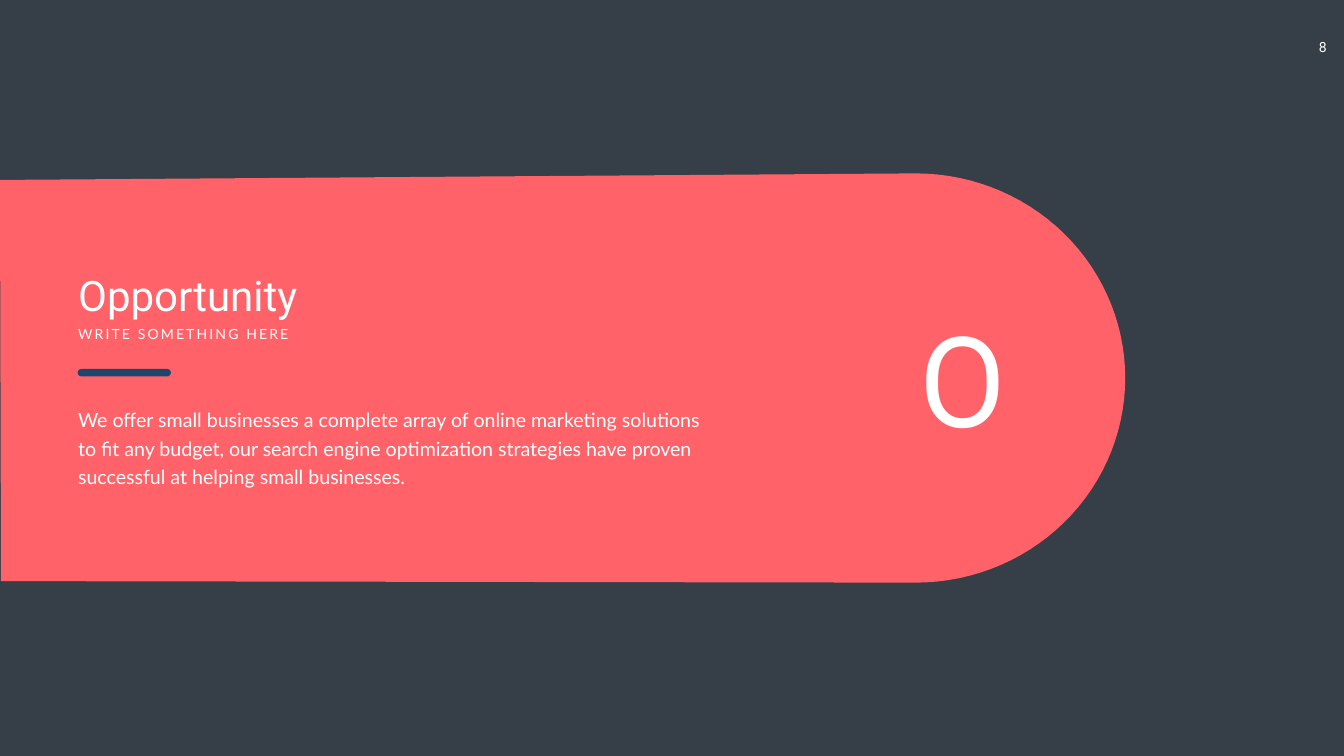
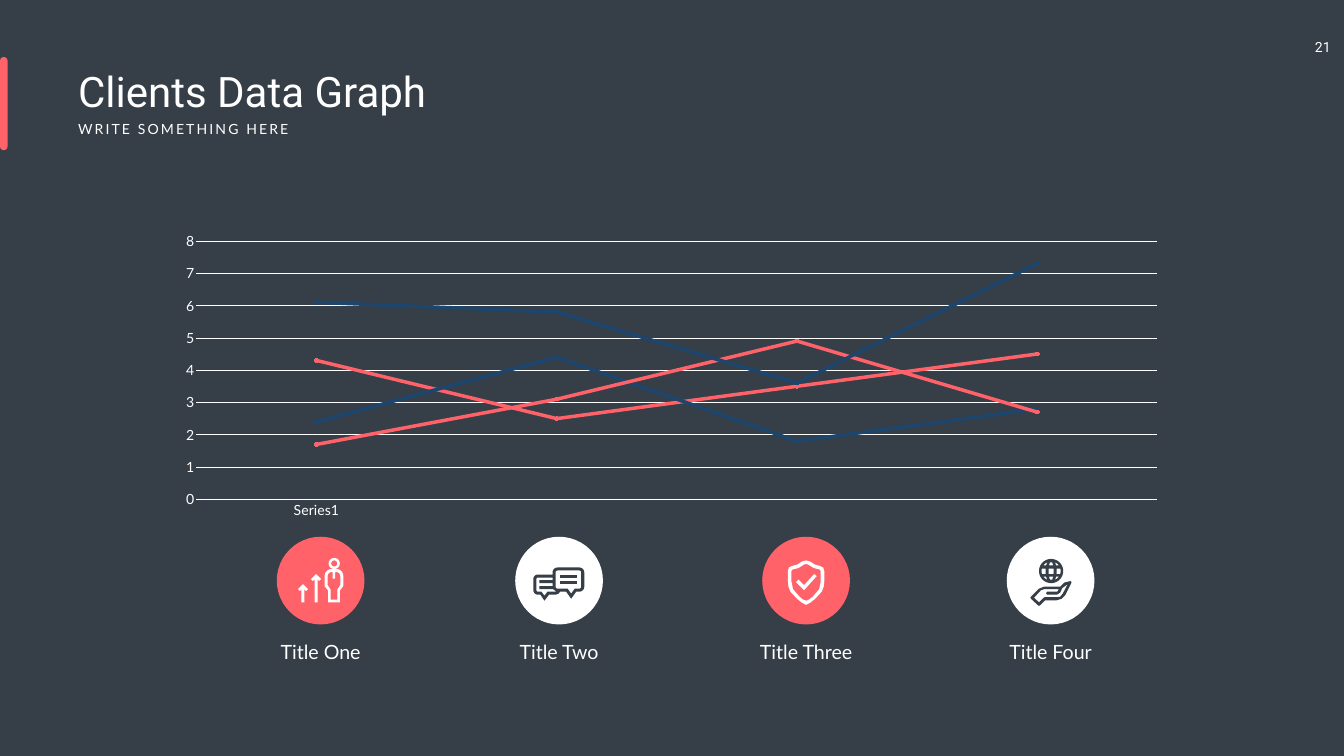
import math

import pptx
import pptx.chart.data
import pptx.dml.color
import pptx.enum.chart
import pptx.enum.shapes
import pptx.enum.text
import pptx.util

Inches = pptx.util.Inches
Pt = pptx.util.Pt
ALIGN = pptx.enum.text.PP_ALIGN
SHAPE = pptx.enum.shapes.MSO_SHAPE

COLORS = {"slate": "363E48", "coral": "FF6269", "navy": "1C466E", "white": "FFFFFF"}
HEADING_FONT = "Roboto"
BODY_FONT = "Lato"
SUBTITLE = "WRITE SOMETHING HERE"
DISC = 1.74


def rgb(name):
    """Return the named colour."""
    return pptx.dml.color.RGBColor.from_string(COLORS[name])


def paint(shape, color):
    """Give a shape a flat fill with no line or shadow."""
    shape.shadow.inherit = False
    shape.fill.solid()
    shape.fill.fore_color.rgb = rgb(color)
    shape.line.fill.background()


def write(slide, text, box, size, font=BODY_FONT, align=ALIGN.LEFT, holder=None,
          spacing=None, tracking=None, wrap=True, insets=(0.1, 0.05, 0.1, 0.05)):
    """Put formatted white text in a new text box or a given placeholder."""
    left, top, width, height = map(Inches, box)
    if holder is None:
        holder = slide.shapes.add_textbox(left, top, width, height)
    else:
        holder.left, holder.top, holder.width, holder.height = left, top, width, height
    frame = holder.text_frame
    frame.word_wrap = wrap
    frame.auto_size = pptx.enum.text.MSO_AUTO_SIZE.SHAPE_TO_FIT_TEXT
    frame.vertical_anchor = pptx.enum.text.MSO_ANCHOR.TOP
    (frame.margin_left, frame.margin_top,
     frame.margin_right, frame.margin_bottom) = map(Inches, insets)
    paragraph = frame.paragraphs[0]
    paragraph.alignment = align
    if spacing:
        paragraph.line_spacing = Pt(spacing)
    run = paragraph.add_run()
    run.text = text
    run.font.size = Pt(size)
    run.font.name = font
    run.font.color.rgb = rgb("white")
    if tracking:
        run._r.get_or_add_rPr().set("spc", str(tracking * 100))


def preset(slide, kind, box, color):
    """Add a filled preset shape."""
    shape = slide.shapes.add_shape(kind, *map(Inches, box))
    paint(shape, color)
    return shape


def pill(slide, box, color, rotation=0):
    """Add a bar with fully rounded ends."""
    bar = preset(slide, SHAPE.ROUNDED_RECTANGLE, box, color)
    bar.adjustments[0] = 0.5
    bar.rotation = rotation


def outline(slide, left, top, contours, color):
    """Fill closed contours, where inner ones cut holes."""
    placed = [[(Inches(left + x), Inches(top + y)) for x, y in contour]
              for contour in contours]
    builder = slide.shapes.build_freeform(*placed[0][0], scale=1.0)
    builder.add_line_segments(placed[0][1:], close=True)
    for contour in placed[1:]:
        builder.move_to(*contour[0])
        builder.add_line_segments(contour[1:], close=True)
    paint(builder.convert_to_shape(), color)


def arc(x, y, radius, start, end, radius_y=None, steps=8):
    """Return points along an arc, in degrees clockwise from the right."""
    angles = [math.radians(start + (end - start) * i / steps) for i in range(steps + 1)]
    return [(x + radius * math.cos(a), y + (radius_y or radius) * math.sin(a))
            for a in angles]


def ring(x, y, outer, inner):
    """Return the two contours of a ring."""
    return [arc(x, y, radius, 0, 360, steps=40) for radius in (outer, inner)]


def mirrored(half, axis):
    """Complete a right-hand half contour with its mirror image."""
    return half + [(2 * axis - x, y) for x, y in half[-2:0:-1]]


def growth_icon(slide, left, top, color):
    """Draw a person beside two rising arrows."""
    body = (arc(1.09, 0.78, 0.14, 180, 270) + arc(1.18, 0.78, 0.14, 270, 360)
            + [(1.32, 0.98), (1.25, 1.07), (1.25, 1.3), (1.02, 1.3), (1.02, 1.07),
               (0.95, 0.98)])
    inside = (arc(1.09, 0.78, 0.08, 180, 270)
              + [(1.11, 0.7), (1.11, 0.83), (1.16, 0.83), (1.16, 0.7)]
              + arc(1.18, 0.78, 0.08, 270, 360)
              + [(1.26, 0.96), (1.2, 1.05), (1.2, 1.25), (1.07, 1.25), (1.07, 1.05),
                 (1.01, 0.96)])
    outline(slide, left, top, [body, inside], color)
    outline(slide, left, top, ring(1.14, 0.53, 0.11, 0.06), color)
    for x, y in ((0.78, 0.74), (0.52, 0.94)):
        half = [(x, y), (x + 0.1, y + 0.1), (x + 0.06, y + 0.14), (x + 0.03, y + 0.1),
                (x + 0.03, 1.3), (x, 1.3)]
        outline(slide, left, top, [mirrored(half, x)], color)


def chat_icon(slide, left, top, color):
    """Draw two overlapping speech bubbles."""
    silhouette = (arc(0.84, 0.71, 0.1, 270, 180) + [(0.74, 0.75)]
                  + arc(0.45, 0.84, 0.09, 270, 180) + arc(0.45, 1.06, 0.09, 180, 90)
                  + [(0.5, 1.15), (0.58, 1.27), (0.67, 1.15), (0.8, 1.15), (0.86, 1.13),
                     (0.89, 1.09), (1.01, 1.09), (1.11, 1.23), (1.21, 1.09)]
                  + arc(1.27, 0.99, 0.1, 90, 0) + arc(1.27, 0.71, 0.1, 0, -90))
    front = (arc(0.84, 0.71, 0.04, 270, 180) + arc(0.84, 0.99, 0.04, 180, 90)
             + [(1.04, 1.03), (1.11, 1.13), (1.18, 1.03)]
             + arc(1.27, 0.99, 0.04, 90, 0) + arc(1.27, 0.71, 0.04, 0, -90))
    back = (arc(0.45, 0.84, 0.03, 270, 180) + arc(0.45, 1.06, 0.03, 180, 90)
            + [(0.52, 1.09), (0.58, 1.17), (0.64, 1.09), (0.82, 1.09), (0.75, 1.04),
               (0.48, 1.04), (0.48, 0.98), (0.74, 0.98), (0.74, 0.92), (0.48, 0.92),
               (0.48, 0.86), (0.74, 0.86), (0.74, 0.81)])
    outline(slide, left, top, [silhouette, front, back], color)
    for y in (0.75, 0.87):
        line = [(0.89, y), (1.22, y), (1.22, y + 0.06), (0.89, y + 0.06)]
        outline(slide, left, top, [line], color)


def shield_icon(slide, left, top, color):
    """Draw a shield with a check mark."""
    check = [(0.83, 0.96), (0.72, 0.85), (0.67, 0.9), (0.83, 1.06), (1.08, 0.78),
             (1.03, 0.74)]
    rim = [(0.87, 0.47), (0.91, 0.48), (0.95, 0.49), (1.04, 0.55), (1.15, 0.58),
           (1.21, 0.61), (1.23, 0.68), (1.23, 0.89), (1.22, 0.99), (1.18, 1.09),
           (1.05, 1.23), (0.95, 1.31), (0.87, 1.35)]
    inside = [(0.87, 0.54), (0.91, 0.55), (1.02, 0.62), (1.14, 0.65), (1.16, 0.68),
              (1.16, 0.89), (1.13, 1.04), (1.01, 1.18), (0.94, 1.24), (0.87, 1.27)]
    outline(slide, left, top, [check], color)
    outline(slide, left, top, [mirrored(rim, 0.87), mirrored(inside, 0.87)], color)


def globe_holes(x, y):
    """Return the cells between the globe's meridians and parallels."""
    holes = []
    for first, last in ((-0.17, -0.11), (-0.05, 0.06), (0.11, 0.17)):
        rows = [first + (last - first) * i / 4 for i in range(5)]
        rim = [(x + math.sqrt(0.19 ** 2 - d ** 2), y + d) for d in rows]
        meridian = [(x + 0.11 * math.sqrt(1 - (d / 0.24) ** 2), y + d) for d in rows]
        middle = [(x + 0.05 * math.sqrt(1 - (d / 0.19) ** 2), y + d) for d in rows]
        east = rim + meridian[::-1]
        west = [(2 * x - px, py) for px, py in east]
        holes += [east, west, middle + [(2 * x - px, py) for px, py in middle[::-1]]]
    return holes


def care_icon(slide, left, top, color):
    """Draw a hand holding a globe."""
    hand = [(1.26, 0.88), (1.28, 0.89), (1.28, 0.92), (1.16, 1.16), (1.09, 1.23),
            (0.99, 1.26), (0.76, 1.26), (0.66, 1.36), (0.64, 1.37), (0.62, 1.36),
            (0.48, 1.23), (0.47, 1.21), (0.48, 1.19), (0.64, 1.03), (0.74, 0.99),
            (1.06, 0.99), (1.14, 0.91)]
    palm = [(1.21, 0.94), (1.11, 1.13), (1.06, 1.19), (0.99, 1.2), (0.75, 1.2),
            (0.73, 1.21), (0.64, 1.3), (0.54, 1.21), (0.68, 1.06), (0.74, 1.04),
            (1.03, 1.04), (1.01, 1.08), (0.99, 1.09), (0.8, 1.09), (0.78, 1.12),
            (0.8, 1.15), (0.99, 1.15), (1.06, 1.11), (1.1, 1.02)]
    outline(slide, left, top, [hand, palm], color)
    globe = arc(0.88, 0.68, 0.24, 0, 360, steps=40)
    outline(slide, left, top, [globe] + globe_holes(0.88, 0.68), color)


def new_slide(deck, number):
    """Add a title-only slide with its page number."""
    slide = deck.slides.add_slide(deck.slide_layouts[5])
    write(slide, number, (25.87, 0.67, 0.91, 0.54), 20, font=HEADING_FONT,
          align=ALIGN.CENTER, wrap=False, insets=(0.2, 0.1, 0.37, 0.1))
    return slide


def heading(slide, title, left, top, width):
    """Place the title and the subtitle under it."""
    write(slide, title, (left, top, width, 1.11), 60, font=HEADING_FONT,
          holder=slide.shapes.title)
    write(slide, SUBTITLE, (left, top + 1.11, 5.85, 0.44), 20, tracking=3)


def banner(slide, left, top, width, height):
    """Draw the wide band with a round right end."""
    radius_x, radius_y = 4.16, height / 2
    straight = width - radius_x
    edge = ([(0, 0.13)] + arc(straight, radius_y, radius_x, -90, 90, radius_y, 60)
            + [(0.02, height - 0.03)])
    outline(slide, left, top, [edge], "coral")


def line_chart(slide, left, top, width, height):
    """Add the four-series line chart."""
    series_values = [(4.3, 2.5, 3.5, 4.5), (2.4, 4.4, 1.8, 2.8),
                     (1.7, 3.1, 4.9, 2.7), (6.1, 5.8, 3.6, 7.3)]
    data = pptx.chart.data.CategoryChartData()
    data.categories = [""] * 4
    for number, values in enumerate(series_values, 1):
        data.add_series(f"Series {number}", values)
    chart = slide.shapes.add_chart(
        pptx.enum.chart.XL_CHART_TYPE.LINE_MARKERS,
        *map(Inches, (left, top, width, height)), data).chart
    chart.has_legend = False
    chart.has_title = False
    category_axis, value_axis = chart.category_axis, chart.value_axis
    for font in (chart.font, category_axis.tick_labels.font, value_axis.tick_labels.font):
        font.name = BODY_FONT
        font.size = Pt(20)
        font.color.rgb = rgb("white")
    for axis in (category_axis, value_axis):
        axis.major_tick_mark = pptx.enum.chart.XL_TICK_MARK.NONE
    value_axis.minimum_scale, value_axis.maximum_scale = 0, 8
    value_axis.major_unit = 1
    value_axis.format.line.fill.background()
    value_axis.has_major_gridlines = True
    for line in (category_axis.format.line, value_axis.major_gridlines.format.line):
        line.color.rgb = rgb("white")
        line.width = Pt(0.75)
    chart.plots[0].vary_by_categories = False
    for index, series in enumerate(chart.plots[0].series):
        color = rgb(("coral", "navy")[index % 2])
        series.smooth = False
        series.format.line.color.rgb = color
        series.format.line.width = Pt(5)
        series.marker.style = pptx.enum.chart.XL_MARKER_STYLE.CIRCLE
        series.marker.size = 5
        series.marker.format.fill.solid()
        series.marker.format.fill.fore_color.rgb = color
        series.marker.format.line.color.rgb = color


def category_badge(slide, left, top, label, icon, disc_color, icon_color):
    """Place a disc with its icon and the label under it."""
    preset(slide, SHAPE.OVAL, (left, top, DISC, DISC), disc_color)
    icon(slide, left, top, icon_color)
    write(slide, label, (left - 0.71, top + 1.99, 3.16, 0.57), 28, align=ALIGN.CENTER)


def opportunity_slide(deck):
    """Build the section slide."""
    slide = new_slide(deck, "8")
    banner(slide, 0, 3.44, 22.32, 8.12)
    slide.shapes._spTree.append(slide.shapes.title._element)
    heading(slide, "Opportunity", 1.45, 5.29, 9.76)
    write(slide, "We offer small businesses a complete array of online marketing "
          "solutions to fit any budget, our search engine optimization strategies "
          "have proven successful at helping small businesses.",
          (1.45, 7.95, 12.71, 1.77), 28, spacing=40.8)
    pill(slide, (1.54, 7.32, 1.85, 0.15), "navy")
    write(slide, "O", (18.06, 5.93, 2.06, 3.13), 180, font=HEADING_FONT,
          align=ALIGN.CENTER)


def clients_slide(deck):
    """Build the chart slide with its four category badges."""
    slide = new_slide(deck, "21")
    heading(slide, "Clients Data Graph", 1.45, 1.24, 8.65)
    pill(slide, (-0.85, 1.98, 1.85, 0.15), "coral", rotation=90)
    line_chart(slide, 3.29, 4.49, 20.07, 5.92)
    badges = [(5.49, "Title One", growth_icon), (10.22, "Title Two", chat_icon),
              (15.12, "Title Three", shield_icon), (19.97, "Title Four", care_icon)]
    for index, (left, label, icon) in enumerate(badges):
        colors = (("coral", "white"), ("white", "slate"))[index % 2]
        category_badge(slide, left, 10.65, label, icon, *colors)


def main():
    """Build and save the deck."""
    deck = pptx.Presentation()
    deck.slide_width, deck.slide_height = Inches(26.66), Inches(15)
    background = deck.slide_master.background.fill
    background.solid()
    background.fore_color.rgb = rgb("slate")
    opportunity_slide(deck)
    clients_slide(deck)
    deck.save("out.pptx")


if __name__ == "__main__":
    main()
